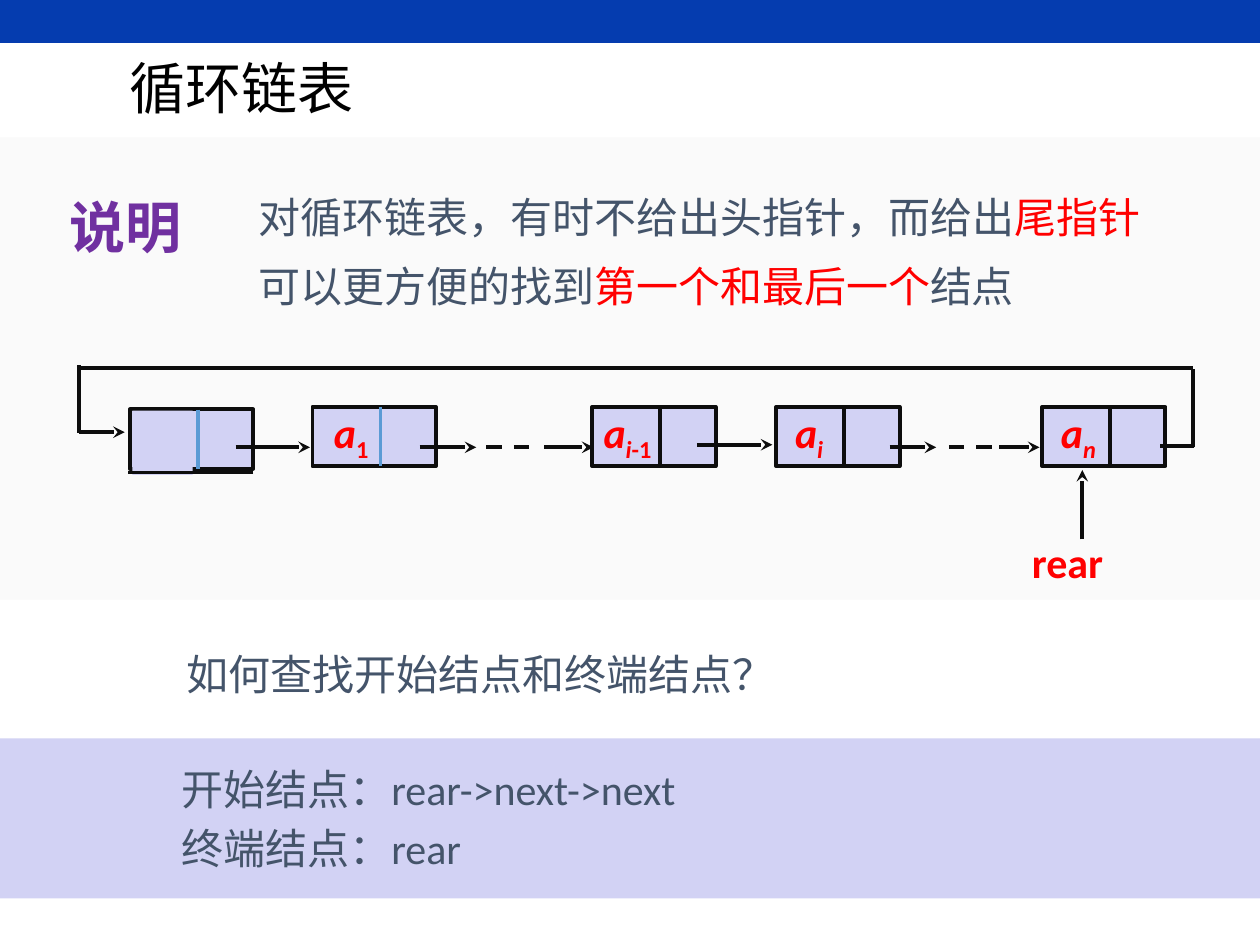
from pptx import Presentation
from pptx.dml.color import RGBColor
from pptx.enum.dml import MSO_LINE
from pptx.enum.shapes import MSO_CONNECTOR, MSO_SHAPE
from pptx.enum.text import MSO_ANCHOR, PP_ALIGN
from pptx.oxml.ns import qn
from pptx.util import Inches, Pt
from lxml import etree

RECT = MSO_SHAPE.RECTANGLE
STRAIGHT = MSO_CONNECTOR.STRAIGHT
DASH = MSO_LINE.DASH
TOP, MIDDLE = MSO_ANCHOR.TOP, MSO_ANCHOR.MIDDLE
LEFT = PP_ALIGN.LEFT

INK, SLATE, RED, LILAC = "0D0D0D", "44546A", "FF0000", "D2D2F4"
BLUE, PURPLE = "5B9BD5", "7030A0"
NODE_W, NODE_H, SPLIT = 0.98, 0.47, 0.54


def color(code):
    return RGBColor.from_string(code)


class Deck:
    """Holds the text style and the slide being drawn."""

    def __init__(self, slide):
        self.shapes = slide.shapes
        self.style = {"name": "Calibri", "size": Pt(24)}

    def rect(self, box, fill, line=None):
        shape = self.shapes.add_shape(RECT, *map(Inches, box))
        shape.shadow.inherit = False
        shape.fill.solid()
        shape.fill.fore_color.rgb = color(fill)
        if line:
            shape.line.color.rgb = color(line)
            shape.line.width = Pt(2.25)
        else:
            shape.line.fill.background()
        return shape

    def line(self, start, end, ink=INK, arrow=False, dash=False):
        link = self.shapes.add_connector(STRAIGHT, *map(Inches, start + end))
        link.line.color.rgb = color(ink)
        link.line.width = Pt(2.25)
        if dash:
            link.line.dash_style = DASH
        props = link._element.spPr
        if arrow:
            tail = etree.SubElement(props.find(qn("a:ln")), qn("a:tailEnd"))
            tail.set("type", "stealth")
        etree.SubElement(props, qn("a:effectLst"))

    def label(self, shape, paras, inset=(0.1, 0.05, 0.1, 0.05), anchor=TOP,
              lead=None, **base):
        """Put text in a shape; each paragraph is a list of (text, format)."""
        frame = shape.text_frame
        frame.word_wrap = True
        frame.vertical_anchor = anchor
        for side, gap in zip(("left", "top", "right", "bottom"), inset):
            setattr(frame, "margin_" + side, Inches(gap))
        for i, runs in enumerate(paras):
            para = frame.add_paragraph() if i else frame.paragraphs[0]
            para.alignment = LEFT
            if i:
                para.space_before = Pt(4.8)
            if lead:
                para.line_spacing = lead
            for text, extra in runs:
                run = para.add_run()
                run.text = text
                look = {**self.style, "color": SLATE, **base, **extra}
                run.font.color.rgb = color(look.pop("color"))
                if look.pop("sub", False):
                    run._r.get_or_add_rPr().set("baseline", "-25000")
                for key, value in look.items():
                    setattr(run.font, key, value)

    def text(self, box, paras, **opts):
        self.label(self.shapes.add_textbox(*map(Inches, box)), paras, **opts)

    def node(self, left, top=3.23, inset=0, sub=(), split=INK):
        """Draw a list node: data cell with a label, then pointer cell."""
        box = self.rect((left, top, NODE_W, NODE_H), LILAC, INK)
        if sub:
            runs = [("a", {})] + [(t, {"sub": True, "italic": slant})
                                  for t, slant in sub]
            self.label(box, [runs], (inset, 0, 0, 0.08), lead=0.9,
                       color=RED, bold=True, italic=True)
        mid = left + SPLIT
        self.line((mid, top), (mid, top + NODE_H), split)


def main():
    prs = Presentation()
    prs.slide_width, prs.slide_height = Inches(10), Inches(7.5)
    deck = Deck(prs.slides.add_slide(prs.slide_layouts[6]))
    red = {"color": RED}

    deck.rect((0, 0, 10, 0.34), "053CAF")
    deck.rect((0, 1.09, 10, 3.67), "FAFAFA")
    deck.text((0.93, 0.32, 7.84, 0.75), [[("循环链表", {})]], anchor=MIDDLE,
              name="Noto Sans CJK SC", size=Pt(32), color="000000")
    deck.text((0.45, 1.48, 1.26, 0.64), [[("说明", {})]],
              size=Pt(32), color=PURPLE, bold=True)
    deck.text((1.95, 1.39, 7.4, 1.15), [
        [("对循环链表，有时不给出头指针，而给出", {}), ("尾指针", red)],
        [("可以更方便的找到", {}), ("第一个和最后一个", red), ("结点", {})],
    ], lead=1.2)

    # List nodes, the head node first
    deck.node(1.03, top=3.25, split=BLUE)
    deck.rect((1.05, 3.26, 0.48, 0.51), LILAC)
    deck.node(2.48, inset=0.17, sub=[("1", False)], split=BLUE)
    deck.node(4.7, inset=0.09, sub=[("i", True), ("-1", False)])
    deck.node(6.16, inset=0.15, sub=[("i", True)])
    deck.node(8.27, inset=0.15, sub=[("n", True)])

    # Next pointers and the elided stretches
    for x1, x2, y in ((1.87, 2.46, 3.55), (3.33, 3.78, 3.55),
                      (4.32, 4.71, 3.55), (5.53, 6.13, 3.53),
                      (7.06, 7.43, 3.55), (7.93, 8.25, 3.55)):
        deck.line((x1, y), (x2, y), arrow=True)
    for x1, x2 in ((3.86, 4.21), (7.53, 7.88)):
        deck.line((x1, 3.55), (x2, 3.55), dash=True)

    # Loop from the last node back to the head node
    for start, end in (((9.48, 3.54), (9.21, 3.54)),
                       ((9.47, 2.93), (9.47, 3.55)),
                       ((0.61, 2.92), (9.47, 2.92)),
                       ((0.63, 2.9), (0.63, 3.44)),
                       ((2.01, 3.75), (1.02, 3.75))):
        deck.line(start, end)
    deck.line((0.63, 3.43), (0.99, 3.43), arrow=True)

    deck.line((8.59, 4.28), (8.59, 3.73), arrow=True)
    deck.text((8.19, 4.26, 0.83, 0.51), [[("rear", {})]],
              inset=(0, 0, 0, 0.04), color=RED, bold=True)

    deck.text((1.38, 5.1, 6.35, 0.51), [[("如何查找开始结点和终端结点？", {})]])
    band = deck.rect((0, 5.86, 10, 1.27), LILAC)
    deck.label(band, [[("开始结点：rear->next->next", {})],
                      [("终端结点：rear", {})]],
               inset=(1.44, 0.05, 0.1, 0.05), anchor=MIDDLE)
    prs.save("out.pptx")


if __name__ == "__main__":
    main()
